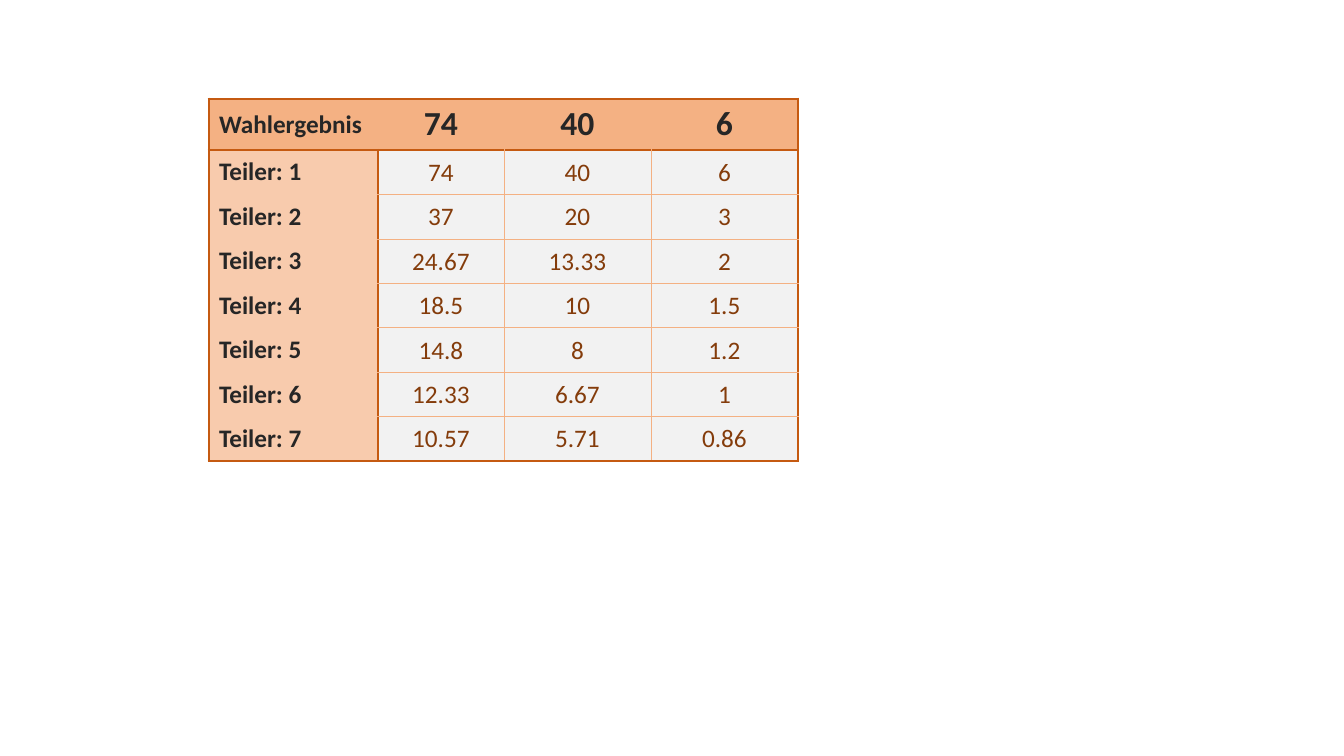
from lxml.etree import SubElement
from pptx import Presentation
from pptx.dml.color import RGBColor
from pptx.enum.text import MSO_ANCHOR, PP_ALIGN
from pptx.oxml.ns import qn
from pptx.util import Pt

VOTES = [74, 40, 6]
DIVISORS = range(1, 8)
GRID = [["Wahlergebnis", *map(str, VOTES)]] + [
    [f"Teiler: {divisor}", *(f"{round(votes / divisor, 2):g}" for votes in VOTES)]
    for divisor in DIVISORS
]

COLORS = {
    "header": "F4B183", "label": "F8CBAD", "quotient": "F2F2F2",
    "dark": "262626", "brown": "843C0B", "frame": "C55A11", "hairline": "F4B183",
}
FRAME, HAIRLINE = ("frame", 2.25), ("hairline", 0.5)
PLAIN_STYLE = "{2D5ABB26-0587-4C30-8999-92F81FD0307C}"

EMU_PER_PX = 914400 / 100.8
SLIDE_W, SLIDE_H = 1344, 756
TABLE_LEFT, TABLE_TOP = 209, 99
COLUMN_WIDTHS = [169, 126, 147, 147]
HEADER_H, BODY_H = 48, 311


def px(length):
    return round(length * EMU_PER_PX)


MIDDLE = {"vertical_anchor": MSO_ANCHOR.MIDDLE}
TIGHT = {"margin_left": px(1), "margin_right": px(1), "margin_top": px(1), "margin_bottom": 0}
# fill, text colour, cell format, font format, alignment
ROLES = {
    "corner": ("header", "dark", MIDDLE, {"size": Pt(18), "bold": True}, PP_ALIGN.LEFT),
    "votes": ("header", "dark", {}, {"size": Pt(24), "bold": True}, PP_ALIGN.CENTER),
    "label": ("label", "dark", MIDDLE, {"size": Pt(18), "bold": True}, PP_ALIGN.LEFT),
    "quotient": ("quotient", "brown", MIDDLE | TIGHT, {"size": Pt(18), "bold": False},
                 PP_ALIGN.CENTER),
}


def set_all(target, values):
    for name, value in values.items():
        setattr(target, name, value)


def horizontal_rule(edge, column):
    """Line on a row edge; edge 0 is the top of the table."""
    if edge in (0, 1, len(GRID)):
        return FRAME
    return HAIRLINE if column else None


def vertical_rule(edge, row):
    """Line on a column edge; edge 0 is the left of the table."""
    if edge in (0, len(COLUMN_WIDTHS)):
        return FRAME
    if row == 0:
        return None
    return FRAME if edge == 1 else HAIRLINE


def draw_borders(cell, row, column):
    rules = {
        "a:lnL": vertical_rule(column, row),
        "a:lnR": vertical_rule(column + 1, row),
        "a:lnT": horizontal_rule(row, column),
        "a:lnB": horizontal_rule(row + 1, column),
    }
    properties = cell._tc.get_or_add_tcPr()
    for position, (tag, rule) in enumerate(rules.items()):
        line = SubElement(properties, qn(tag))
        properties.insert(position, line)
        if rule is None:
            SubElement(line, qn("a:noFill"))
            continue
        color, width = rule
        line.set("w", str(Pt(width)))
        solid = SubElement(line, qn("a:solidFill"))
        SubElement(solid, qn("a:srgbClr"), val=COLORS[color])


def fill_cell(cell, text, row, column):
    if row == 0:
        role = "votes" if column else "corner"
    else:
        role = "quotient" if column else "label"
    fill, color, cell_format, font_format, alignment = ROLES[role]
    set_all(cell, cell_format)
    cell.fill.solid()
    cell.fill.fore_color.rgb = RGBColor.from_string(COLORS[fill])
    paragraph = cell.text_frame.paragraphs[0]
    paragraph.alignment = alignment
    run = paragraph.add_run()
    run.text = text
    set_all(run.font, font_format | {"name": "Calibri"})
    run.font.color.rgb = RGBColor.from_string(COLORS[color])
    draw_borders(cell, row, column)


def main():
    presentation = Presentation()
    set_all(presentation, {"slide_width": px(SLIDE_W), "slide_height": px(SLIDE_H)})
    slide = presentation.slides.add_slide(presentation.slide_layouts[6])
    results = slide.shapes.add_table(
        len(GRID), len(COLUMN_WIDTHS), px(TABLE_LEFT), px(TABLE_TOP),
        px(sum(COLUMN_WIDTHS)), px(HEADER_H + BODY_H)).table
    set_all(results, {"first_row": False, "horz_banding": False})
    results._tbl.tblPr.find(qn("a:tableStyleId")).text = PLAIN_STYLE
    for column, width in zip(results.columns, COLUMN_WIDTHS):
        column.width = px(width)
    for row, texts in enumerate(GRID):
        results.rows[row].height = px(BODY_H / len(DIVISORS) if row else HEADER_H)
        for column, text in enumerate(texts):
            fill_cell(results.cell(row, column), text, row, column)
    presentation.save("out.pptx")


if __name__ == "__main__":
    main()
